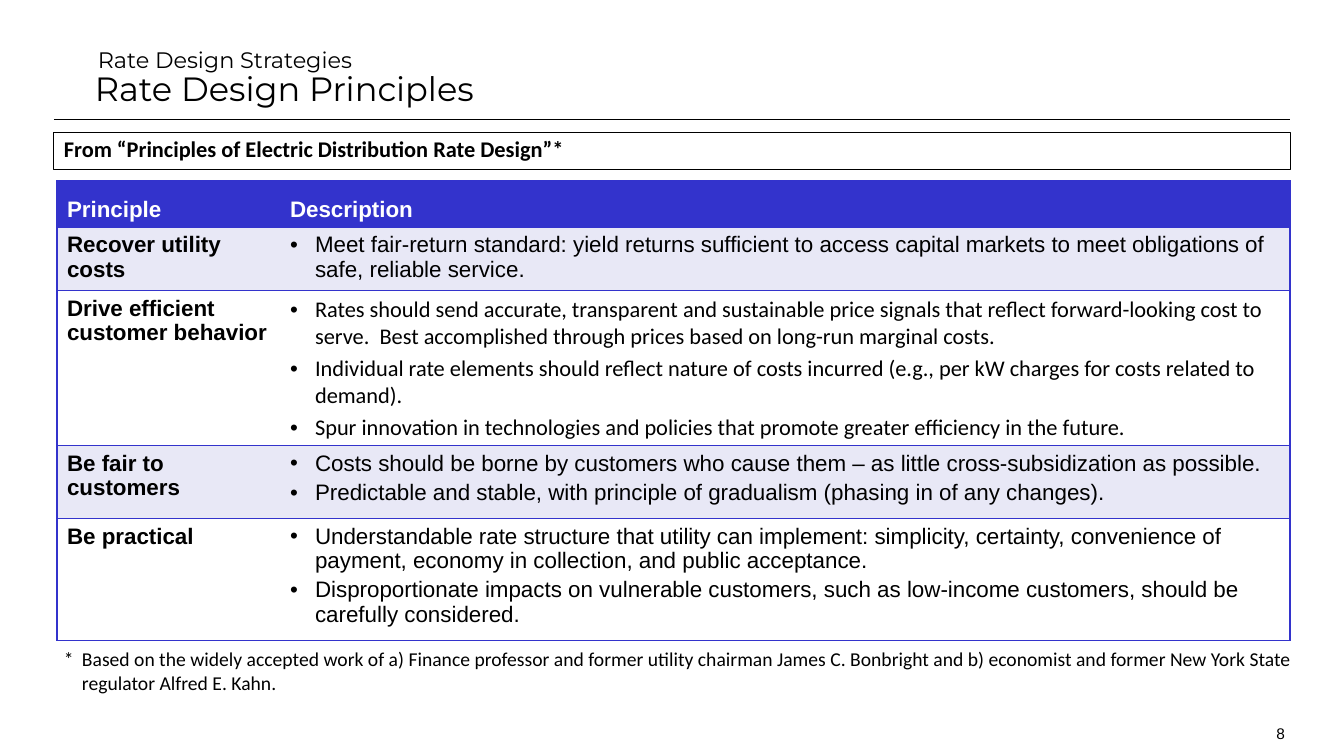
from lxml import etree
from pptx import Presentation
from pptx.dml.color import RGBColor
from pptx.enum.shapes import MSO_CONNECTOR, MSO_SHAPE
from pptx.enum.text import MSO_ANCHOR, PP_ALIGN
from pptx.oxml.ns import qn
from pptx.util import Pt

STRAIGHT, RECT = MSO_CONNECTOR.STRAIGHT, MSO_SHAPE.RECTANGLE
TOP, MIDDLE, BOTTOM = MSO_ANCHOR.TOP, MSO_ANCHOR.MIDDLE, MSO_ANCHOR.BOTTOM
LEFT, RIGHT = PP_ALIGN.LEFT, PP_ALIGN.RIGHT
SCALE = 914400 / 100.8
COLORS = {"ink": "000000", "paper": "FFFFFF", "blue": "3333CC", "band": "E8E8F6"}


def px(n):
    """Turn pixels into EMU."""
    return round(n * SCALE)


def rgb(name):
    """Look up a palette colour."""
    return RGBColor.from_string(COLORS[name])


def write(tf, text, font="Arial", size=16, color="ink", bold=False, align=LEFT,
          before=0, spacing=None, margin=0, hang=0, bullet=False):
    """Add one formatted paragraph, filling the first one if it is empty."""
    p = tf.paragraphs[0] if not tf.text else tf.add_paragraph()
    p.alignment, p.space_before = align, Pt(before)
    if spacing:
        p.line_spacing = spacing
    pPr = p._p.get_or_add_pPr()
    pPr.set("marL", str(px(margin)))
    pPr.set("indent", str(px(-hang)))
    if bullet:
        etree.SubElement(pPr, qn("a:buFont")).set("typeface", "Arial")
        etree.SubElement(pPr, qn("a:buChar")).set("char", "•")
    r = p.add_run()
    r.text = text
    r.font.name, r.font.size, r.font.bold = font, Pt(size), bold
    r.font.color.rgb = rgb(color)


class Deck:
    """Hold the style and the current slide."""

    def __init__(self, prs):
        """Add a blank slide."""
        self.s = prs.slides.add_slide(prs.slide_layouts[6])

    def line(self, x1, y1, x2, y2, width):
        """Draw a straight line without shadow."""
        c = self.s.shapes.add_connector(STRAIGHT, px(x1), px(y1), px(x2), px(y2))
        c.line.color.rgb, c.line.width = rgb("ink"), Pt(width)
        etree.SubElement(c._element.spPr, qn("a:effectLst"))

    def text(self, x, y, w, h, anchor=TOP):
        """Add a wrapping text box and return its frame."""
        tf = self.s.shapes.add_textbox(px(x), px(y), px(w), px(h)).text_frame
        tf.word_wrap, tf.vertical_anchor = True, anchor
        return tf

    def frame(self, x, y, w, h):
        """Add an outlined rectangle and return its text frame."""
        sp = self.s.shapes.add_shape(RECT, px(x), px(y), px(w), px(h))
        sp.shadow.inherit = False
        sp.fill.background()
        sp.line.color.rgb, sp.line.width = rgb("ink"), Pt(0.75)
        sp.text_frame.word_wrap, sp.text_frame.vertical_anchor = True, TOP
        return sp.text_frame

    def style_cell(self, cell, fill, sides):
        """Set the borders on the given sides and the fill of a cell."""
        tcPr = cell._tc.get_or_add_tcPr()
        for side in "LRTB":
            ln = etree.SubElement(tcPr, qn("a:ln" + side), w=str(Pt(1)))
            if side in sides:
                solid = etree.SubElement(ln, qn("a:solidFill"))
                etree.SubElement(solid, qn("a:srgbClr"), val=COLORS["blue"])
            else:
                etree.SubElement(ln, qn("a:noFill"))
        cell.fill.solid()
        cell.fill.fore_color.rgb = rgb(fill)

    def table(self, x, y, widths, heights, header, rows):
        """Add the table of principles with a header and banded rows."""
        tbl = self.s.shapes.add_table(len(heights), len(widths), px(x), px(y),
                                      px(sum(widths)), px(sum(heights))).table
        tbl.horz_banding = False
        for col, w in zip(tbl.columns, widths):
            col.width = px(w)
        for row, h in zip(tbl.rows, heights):
            row.height = px(h)
        for i, row in enumerate(tbl.rows):
            fill = "blue" if i == 0 else ("paper", "band")[i % 2]
            for cell, sides in zip(row.cells, ("LTB", "RTB")):
                self.style_cell(cell, fill, sides)
        for cell, label in zip(tbl.rows[0].cells, header):
            cell.vertical_anchor = BOTTOM
            write(cell.text_frame, label, color="paper", bold=True)
        for i, (principle, font, points) in enumerate(rows, 1):
            write(tbl.cell(i, 0).text_frame, principle, bold=True, before=3)
            for point in points:
                write(tbl.cell(i, 1).text_frame, point, font=font, before=3,
                      margin=25, hang=25, bullet=True)


PRINCIPLES = [
    ("Recover utility costs", "Arial", [
        "Meet fair-return standard: yield returns sufficient to access capital "
        "markets to meet obligations of safe, reliable service."]),
    ("Drive efficient customer behavior", "Calibri", [
        "Rates should send accurate, transparent and sustainable price signals that "
        "reflect forward-looking cost to serve.  Best accomplished through prices "
        "based on long-run marginal costs.",
        "Individual rate elements should reflect nature of costs incurred (e.g., "
        "per kW charges for costs related to demand).",
        "Spur innovation in technologies and policies that promote greater "
        "efficiency in the future."]),
    ("Be fair to customers", "Arial", [
        "Costs should be borne by customers who cause them – as little "
        "cross-subsidization as possible.",
        "Predictable and stable, with principle of gradualism (phasing in of any "
        "changes)."]),
    ("Be practical", "Arial", [
        "Understandable rate structure that utility can implement: simplicity, "
        "certainty, convenience of payment, economy in collection, and public "
        "acceptance.",
        "Disproportionate impacts on vulnerable customers, such as low-income "
        "customers, should be carefully considered."]),
]

prs = Presentation()
prs.slide_width, prs.slide_height = px(1344), px(756)
deck = Deck(prs)

deck.line(54, 119, 1290, 119, 0.25)
title = deck.text(86, 36, 1003, 86, MIDDLE)
title.margin_left = 0
write(title, "Rate Design Strategies", font="Montserrat", spacing=0.9, margin=12)
write(title, "Rate Design Principles", font="Montserrat", size=24, spacing=0.9,
      margin=9)
write(deck.frame(54, 133, 1237, 37),
      "From “Principles of Electric Distribution Rate Design”*",
      font="Calibri", bold=True, before=10, spacing=0.9)
deck.table(57, 181, [223, 1010], [46, 62, 155, 73, 118],
           ["Principle", "Description"], PRINCIPLES)
write(deck.text(54, 642, 1256, 57),
      "*\tBased on the widely accepted work of a) Finance professor and former "
      "utility chairman James C. Bonbright and b) economist and former New York "
      "State regulator Alfred E. Kahn.",
      font="Calibri", size=14, margin=18, hang=18)
write(deck.text(1216, 708, 79, 40, BOTTOM), "8", size=11, align=RIGHT)

prs.save("out.pptx")
